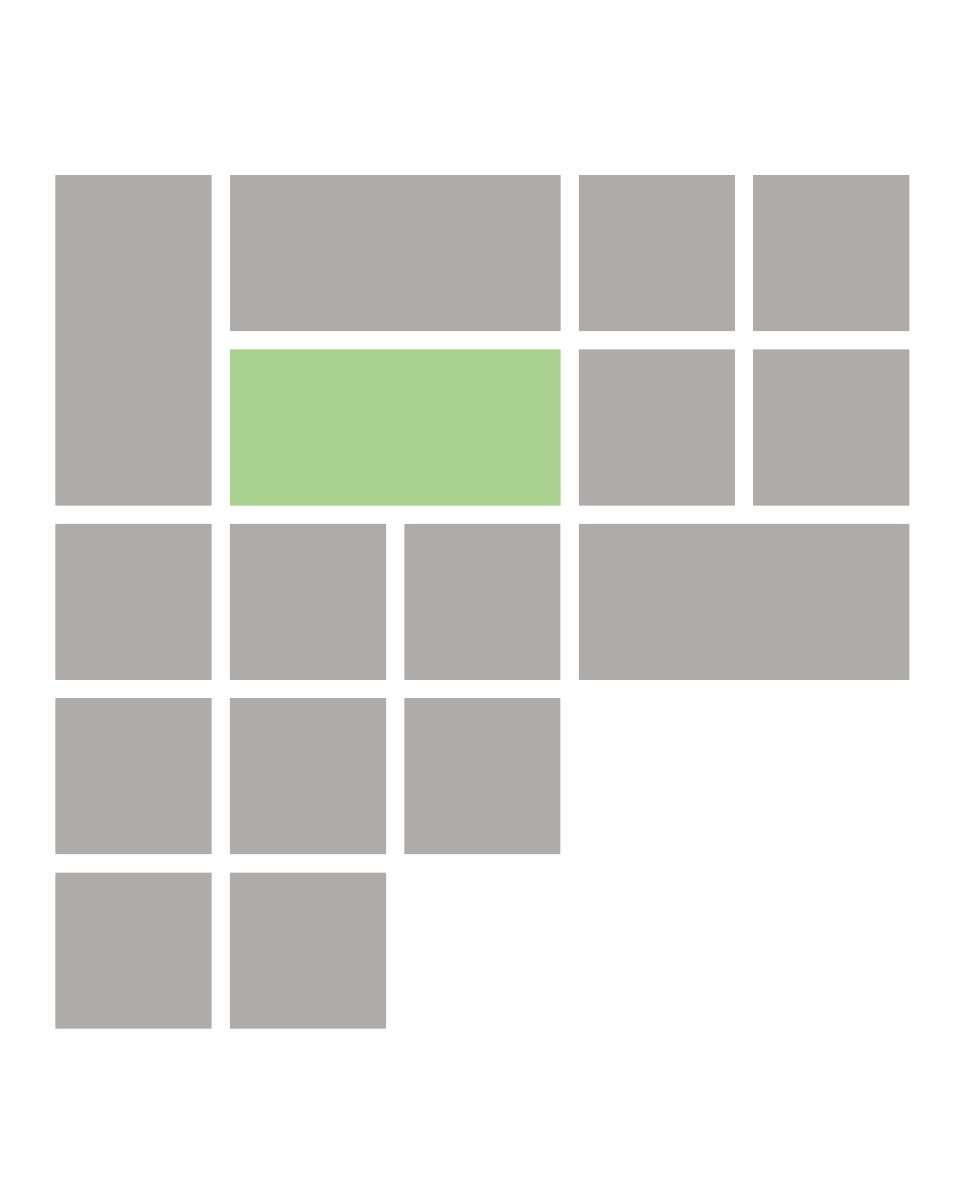
"""Build a slide with a grid of grey tiles and one green highlight."""
from pptx import Presentation
from pptx.dml.color import RGBColor
from pptx.enum.shapes import MSO_SHAPE as Preset
from pptx.util import Inches

COLOURS = {"page": "FFFFFF", "tile": "AFABAB", "highlight": "A9D18E"}
LEFT, TOP = 0.32, 1.01
TILE = 0.9
PITCH = 4.02 / 4

# Each tile: column, row, columns spanned, rows spanned, colour
TILES = [
    (1, 0, 2, 1, "tile"),
    (3, 0, 1, 1, "tile"),
    (4, 0, 1, 1, "tile"),
    (0, 0, 1, 2, "tile"),
    (1, 1, 2, 1, "highlight"),
    (3, 1, 1, 1, "tile"),
    (4, 1, 1, 1, "tile"),
    *[(column, 2, 1, 1, "tile") for column in range(3)],
    (3, 2, 2, 1, "tile"),
    *[(column, 3, 1, 1, "tile") for column in range(3)],
    *[(column, 4, 1, 1, "tile") for column in range(2)],
]


def paint(fill, colour):
    """Give a fill one solid colour from the palette."""
    fill.solid()
    fill.fore_color.rgb = RGBColor.from_string(COLOURS[colour])


def span_length(cells):
    """Return the length of a tile that covers a number of grid cells."""
    return Inches(TILE + (cells - 1) * PITCH)


def add_tile(page, column, row, columns, rows, colour):
    """Place one borderless tile on the grid."""
    tile = page.shapes.add_shape(
        Preset.RECTANGLE,
        Inches(LEFT + column * PITCH),
        Inches(TOP + row * PITCH),
        span_length(columns),
        span_length(rows),
    )
    tile.shadow.inherit = False
    tile.line.fill.background()
    paint(tile.fill, colour)


def main():
    """Create the deck, lay out the tiles and save the file."""
    deck = Presentation()
    deck.slide_width, deck.slide_height = Inches(5.56), Inches(6.94)
    page = deck.slides.add_slide(deck.slide_layouts[6])
    paint(page.background.fill, "page")
    for tile in TILES:
        add_tile(page, *tile)
    deck.save("out.pptx")


if __name__ == "__main__":
    main()
